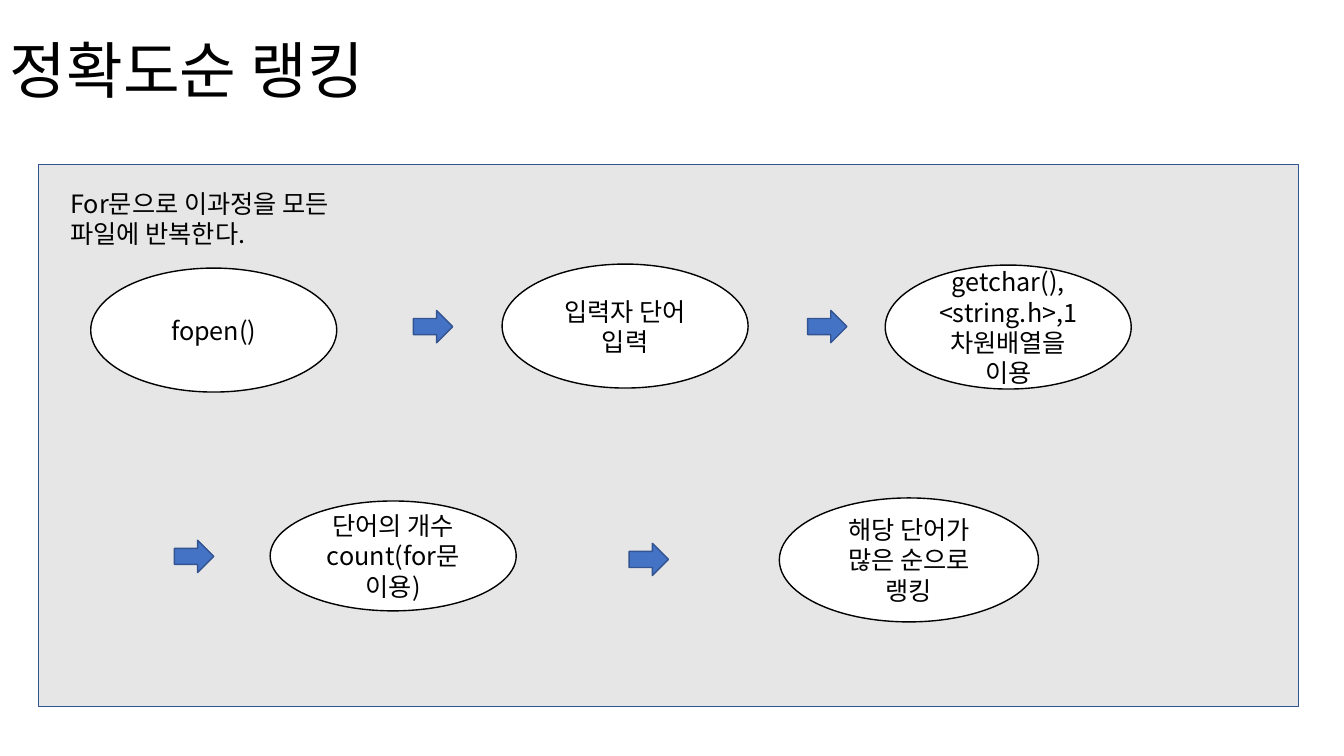
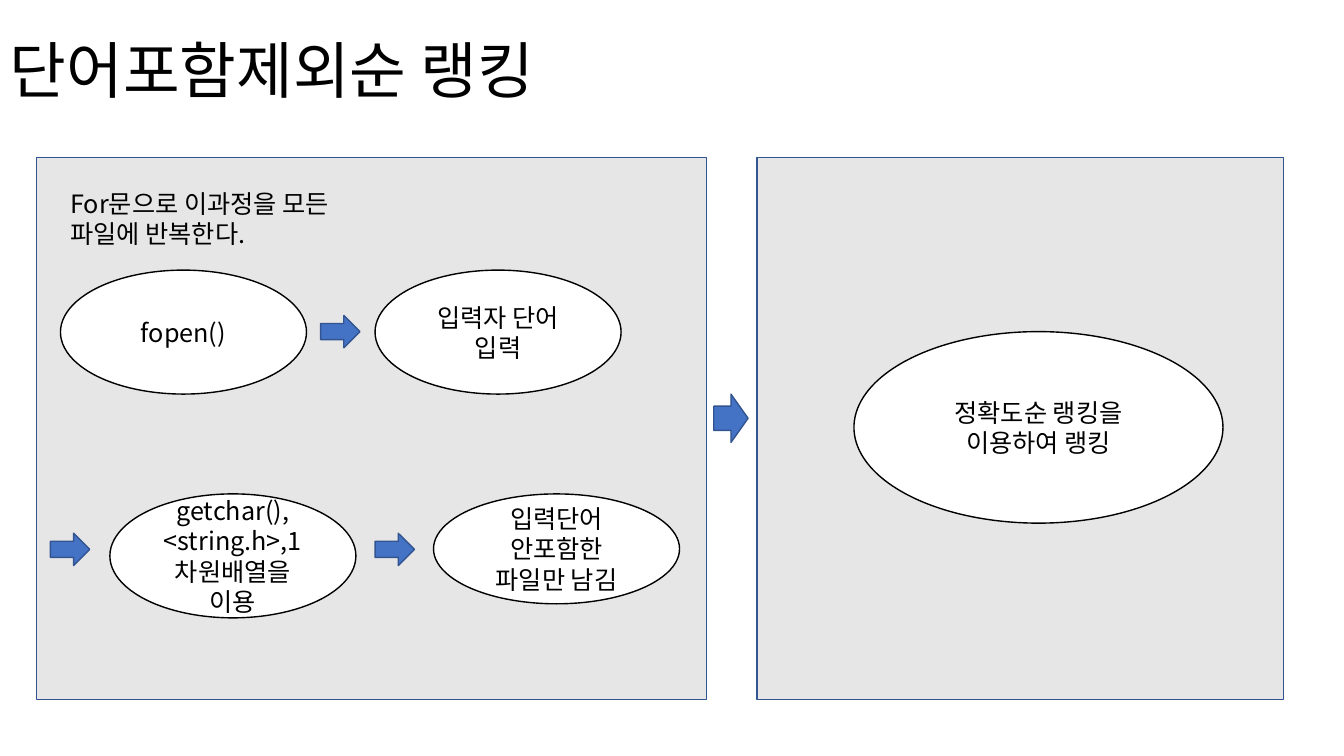
from dataclasses import dataclass

from lxml import etree
from pptx import Presentation
from pptx import util as u
from pptx.dml.color import RGBColor
from pptx.enum import shapes, text
from pptx.oxml.ns import qn

PX = 9144  # EMU per px, 100 px to the inch


@dataclass(frozen=True)
class Theme:
    font: str = "Noto Sans CJK KR"
    ink: str = "000000"
    paper: str = "FFFFFF"
    panel: str = "E7E6E6"
    accent: str = "4472C4"
    edge: str = "325491"
    title_size: int = 44
    body_size: int = 18


THEME = Theme()
SHAPE = shapes.MSO_SHAPE
ALIGN = text.PP_ALIGN
ANCHOR = text.MSO_ANCHOR

STEP_WIDTH, STEP_HEIGHT, LOW_STEP_HEIGHT = 244, 123, 109
ARROW_WIDTH, ARROW_HEIGHT = 39, 32
PANEL_HEIGHT = 538

OPEN_STEP = "fopen()"
INPUT_STEP = "입력자 단어 입력"
READ_STEP = "getchar(), <string.h>,1차원배열을 이용"
LOOP_NOTE = "For문으로 이과정을 모든 파일에 반복한다."


def lengths(*values):
    return [u.Emu(value * PX) for value in values]


def write(frame, words, *, size=THEME.body_size, align=ALIGN.LEFT,
          anchor=ANCHOR.TOP, spacing=1.0):
    frame.word_wrap = True
    frame.vertical_anchor = anchor
    para = frame.paragraphs[0]
    para.alignment = align
    para.line_spacing = spacing
    span = para.add_run()
    span.text = words
    span.font.size = u.Pt(size)
    span.font.name = THEME.font
    span.font.color.rgb = RGBColor.from_string(THEME.ink)
    # Hangul takes the East Asian font, which has no public setter.
    east_asian = etree.SubElement(span.font._element, qn("a:ea"))
    east_asian.set("typeface", THEME.font)


def add_text(page, words, left, top, width, height, **style):
    box = page.shapes.add_textbox(*lengths(left, top, width, height))
    write(box.text_frame, words, **style)


def add_figure(page, kind, fill, line, *place):
    figure = page.shapes.add_shape(kind, *lengths(*place))
    figure.shadow.inherit = False
    figure.fill.solid()
    figure.fill.fore_color.rgb = RGBColor.from_string(fill)
    figure.line.color.rgb = RGBColor.from_string(line)
    figure.line.width = u.Pt(1)
    return figure


def add_panel(page, left, top, width):
    add_figure(page, SHAPE.RECTANGLE, THEME.panel, THEME.edge,
               left, top, width, PANEL_HEIGHT)


def add_step(page, words, left, top, width=STEP_WIDTH, height=STEP_HEIGHT):
    step = add_figure(page, SHAPE.OVAL, THEME.paper, THEME.ink,
                      left, top, width, height)
    write(step.text_frame, words, align=ALIGN.CENTER, anchor=ANCHOR.MIDDLE)


def add_arrow(page, left, top, width=ARROW_WIDTH, height=ARROW_HEIGHT):
    add_figure(page, SHAPE.RIGHT_ARROW, THEME.accent, THEME.edge,
               left, top, width, height)


def add_page(deck, title, panels, steps, arrows):
    """Add a titled page with a loop note over its panels, steps and arrows."""
    page = deck.slides.add_slide(deck.slide_layouts[6])
    for panel in panels:
        add_panel(page, *panel)
    add_text(page, title, 0, 0, 1150, 145, size=THEME.title_size,
             anchor=ANCHOR.MIDDLE, spacing=0.9)
    for step in steps:
        add_step(page, *step)
    for arrow in arrows:
        add_arrow(page, *arrow)
    add_text(page, LOOP_NOTE, 60, 182, 317, 71)


def main():
    deck = Presentation()
    deck.slide_width, deck.slide_height = lengths(1333, 750)
    add_page(
        deck, "정확도순 랭킹",
        panels=[(38, 163, 1250)],
        steps=[
            (OPEN_STEP, 90, 266),
            (INPUT_STEP, 498, 262),
            (READ_STEP, 878, 263),
            ("단어의 개수 count(for문 이용)", 268, 497, STEP_WIDTH, LOW_STEP_HEIGHT),
            ("해당 단어가 많은 순으로 랭킹", 773, 494, 257),
        ],
        arrows=[(410, 308), (801, 308), (173, 536), (624, 539)],
    )
    add_page(
        deck, "단어포함제외순 랭킹",
        panels=[(36, 156, 665), (751, 156, 522)],
        steps=[
            (OPEN_STEP, 60, 268),
            (INPUT_STEP, 372, 268),
            (READ_STEP, 109, 490),
            ("입력단어 안포함한 파일만 남김", 430, 490, STEP_WIDTH, LOW_STEP_HEIGHT),
            ("정확도순 랭킹을 이용하여 랭킹", 847, 329, 366, 190),
        ],
        arrows=[(318, 313), (50, 529), (372, 529), (708, 391, 34, 48)],
    )
    deck.save("out.pptx")


if __name__ == "__main__":
    main()
